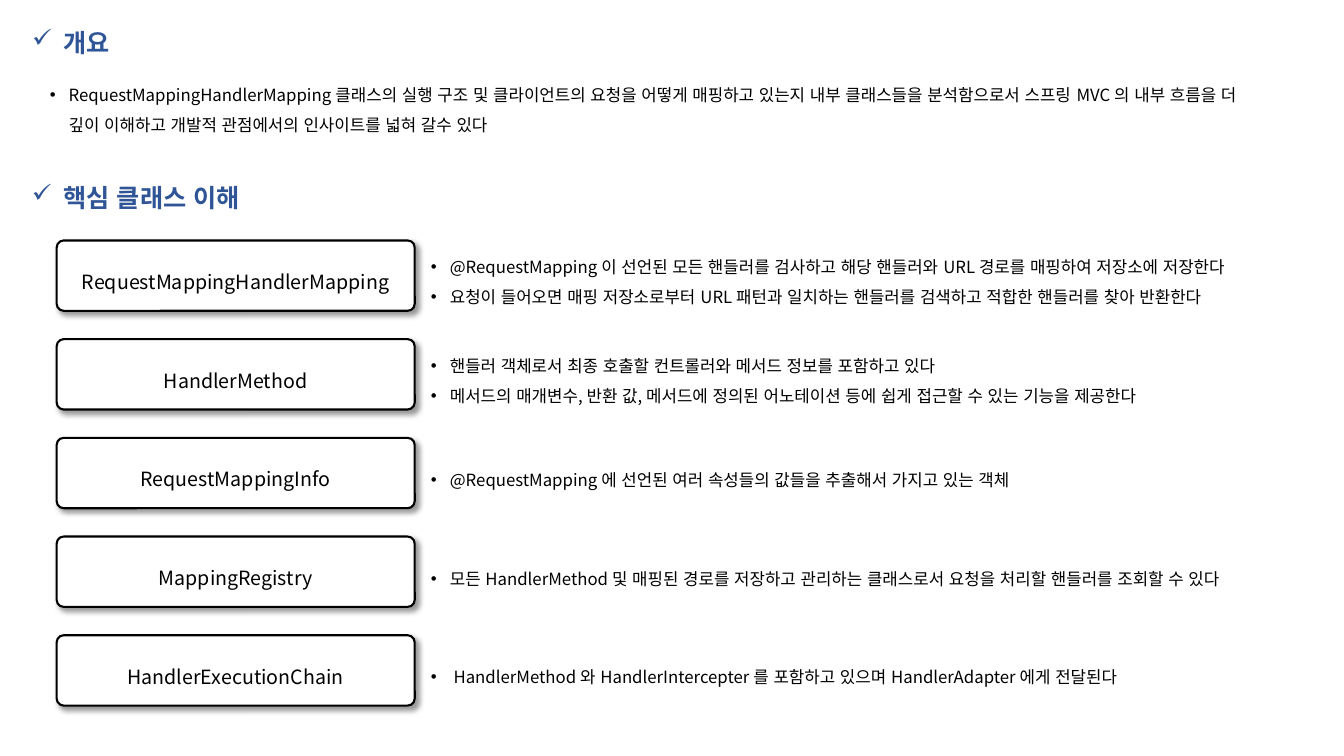
from lxml import etree
from pptx import Presentation, util as u
from pptx.dml.color import RGBColor
from pptx.enum import lang, shapes, text
from pptx.oxml import ns

PX = 9525  # EMU in one px, 96 px to the inch
FONT = "Noto Sans CJK KR"
BLACK = RGBColor(0x00, 0x00, 0x00)
WHITE = RGBColor(0xFF, 0xFF, 0xFF)
BLUE = RGBColor(0x2F, 0x55, 0x97)

HEADING = {"size": u.Pt(18), "bold": True}
BODY = {"size": u.Pt(12)}
LABEL = {"size": u.Pt(14)}

OVERVIEW = ("RequestMappingHandlerMapping 클래스의 실행 구조 및 클라이언트의 요청을 어떻게 매핑하고 있는지 "
            "내부 클래스들을 분석함으로서 스프링 MVC 의 내부 흐름을 더 깊이 이해하고 개발적 관점에서의 "
            "인사이트를 넓혀 갈수 있다")

# Class name, width of its description in px, description lines
CLASSES = [
    ("RequestMappingHandlerMapping", 859,
     ["@RequestMapping 이 선언된 모든 핸들러를 검사하고 해당 핸들러와 URL 경로를 매핑하여 저장소에 저장한다",
      "요청이 들어오면 매핑 저장소로부터 URL 패턴과 일치하는 핸들러를 검색하고 적합한 핸들러를 찾아 반환한다"]),
    ("HandlerMethod", 858,
     ["핸들러 객체로서 최종 호출할 컨트롤러와 메서드 정보를 포함하고 있다",
      "메서드의 매개변수, 반환 값, 메서드에 정의된 어노테이션 등에 쉽게 접근할 수 있는 기능을 제공한다"]),
    ("RequestMappingInfo", 634,
     ["@RequestMapping 에 선언된 여러 속성들의 값들을 추출해서 가지고 있는 객체"]),
    ("MappingRegistry", 858,
     ["모든 HandlerMethod 및 매핑된 경로를 저장하고 관리하는 클래스로서 요청을 처리할 핸들러를 조회할 수 있다"]),
    ("HandlerExecutionChain", 702,
     [" HandlerMethod 와 HandlerIntercepter 를 포함하고 있으며 HandlerAdapter 에게 전달된다"]),
]


def px(*lengths):
    return [u.Emu(n * PX) for n in lengths]


def add_run(p, words, style, color):
    r = p.add_run()
    r.text = words
    r.font.name = FONT
    r.font.language_id = lang.MSO_LANGUAGE_ID.KOREAN
    r.font.color.rgb = color
    for name, value in style.items():
        setattr(r.font, name, value)
    latin = r.font._element.find(ns.qn("a:latin"))
    ea = etree.Element(ns.qn("a:ea"), typeface=FONT)
    latin.addnext(ea)


def add_bullet(p, char, indent):
    pPr = p._p.get_or_add_pPr()
    pPr.set("marL", str(indent * PX))
    pPr.set("indent", str(-indent * PX))
    if char == "•":
        etree.SubElement(pPr, ns.qn("a:buFont"), typeface="Arial")
    etree.SubElement(pPr, ns.qn("a:buChar"), char=char)


def format_frame(tf, wrap, anchor=text.MSO_ANCHOR.TOP):
    tf.word_wrap = wrap
    tf.vertical_anchor = anchor
    tf.auto_size = text.MSO_AUTO_SIZE.SHAPE_TO_FIT_TEXT


def fill_heading(sp, words):
    format_frame(sp.text_frame, False)
    p = sp.text_frame.paragraphs[0]
    add_bullet(p, "✓", 30)
    p.alignment = text.PP_ALIGN.LEFT
    add_run(p, words, HEADING, BLUE)


def add_title(s, words, x, y, w, h):
    sp = s.shapes.title
    sp.left, sp.top, sp.width, sp.height = px(x, y, w, h)
    fill_heading(sp, words)


def add_heading(s, words, x, y, w, h):
    fill_heading(s.shapes.add_textbox(*px(x, y, w, h)), words)


def add_bullets(s, lines, x, y, w, h):
    tf = s.shapes.add_textbox(*px(x, y, w, h)).text_frame
    format_frame(tf, True)
    for i, line in enumerate(lines):
        p = tf.add_paragraph() if i else tf.paragraphs[0]
        add_bullet(p, "•", 18)
        p.line_spacing = 1.5
        add_run(p, line, BODY, BLACK)


def add_shadow(sp):
    sp.shadow.inherit = False
    effects = sp._element.spPr.find(ns.qn("a:effectLst"))
    shadow = etree.SubElement(
        effects, ns.qn("a:outerShdw"), blurRad=str(u.Pt(4)), dist=str(u.Pt(3)),
        dir=str(45 * 60000), algn="tl", rotWithShape="0")
    color = etree.SubElement(shadow, ns.qn("a:srgbClr"), val=str(BLACK))
    etree.SubElement(color, ns.qn("a:alpha"), val="40000")


def add_class_box(s, name, x, y, w, h):
    sp = s.shapes.add_shape(shapes.MSO_SHAPE.ROUNDED_RECTANGLE, *px(x, y, w, h))
    sp.adjustments[0] = 0.1
    sp.fill.solid()
    sp.fill.fore_color.rgb = WHITE
    sp.line.color.rgb = BLACK
    sp.line.width = u.Pt(1.5)
    add_shadow(sp)
    tf = sp.text_frame
    tf.word_wrap = True
    tf.vertical_anchor = text.MSO_ANCHOR.MIDDLE
    p = tf.paragraphs[0]
    p.alignment = text.PP_ALIGN.CENTER
    p.line_spacing = 1.5
    add_run(p, name, LABEL, BLACK)


def add_class_rows(s, x, y, box_w, box_h, pitch):
    for i, (name, width, lines) in enumerate(CLASSES):
        top = y + i * pitch
        add_class_box(s, name, x, top, box_w, box_h)
        h = 35 + 30 * (len(lines) - 1)
        add_bullets(s, lines, x + box_w + 6, top + (box_h - h) // 2, width, h)


def main():
    prs = Presentation()
    prs.slide_width, prs.slide_height = px(1280, 720)
    s = prs.slides.add_slide(prs.slide_layouts[5])

    # Overview
    add_title(s, "개요", 21, 21, 98, 38)
    add_bullets(s, [OVERVIEW], 38, 66, 1152, 65)

    # Core classes
    add_heading(s, "핵심 클래스 이해", 21, 169, 236, 38)
    add_class_rows(s, 54, 229, 341, 67, 94)

    prs.save("out.pptx")


if __name__ == "__main__":
    main()
